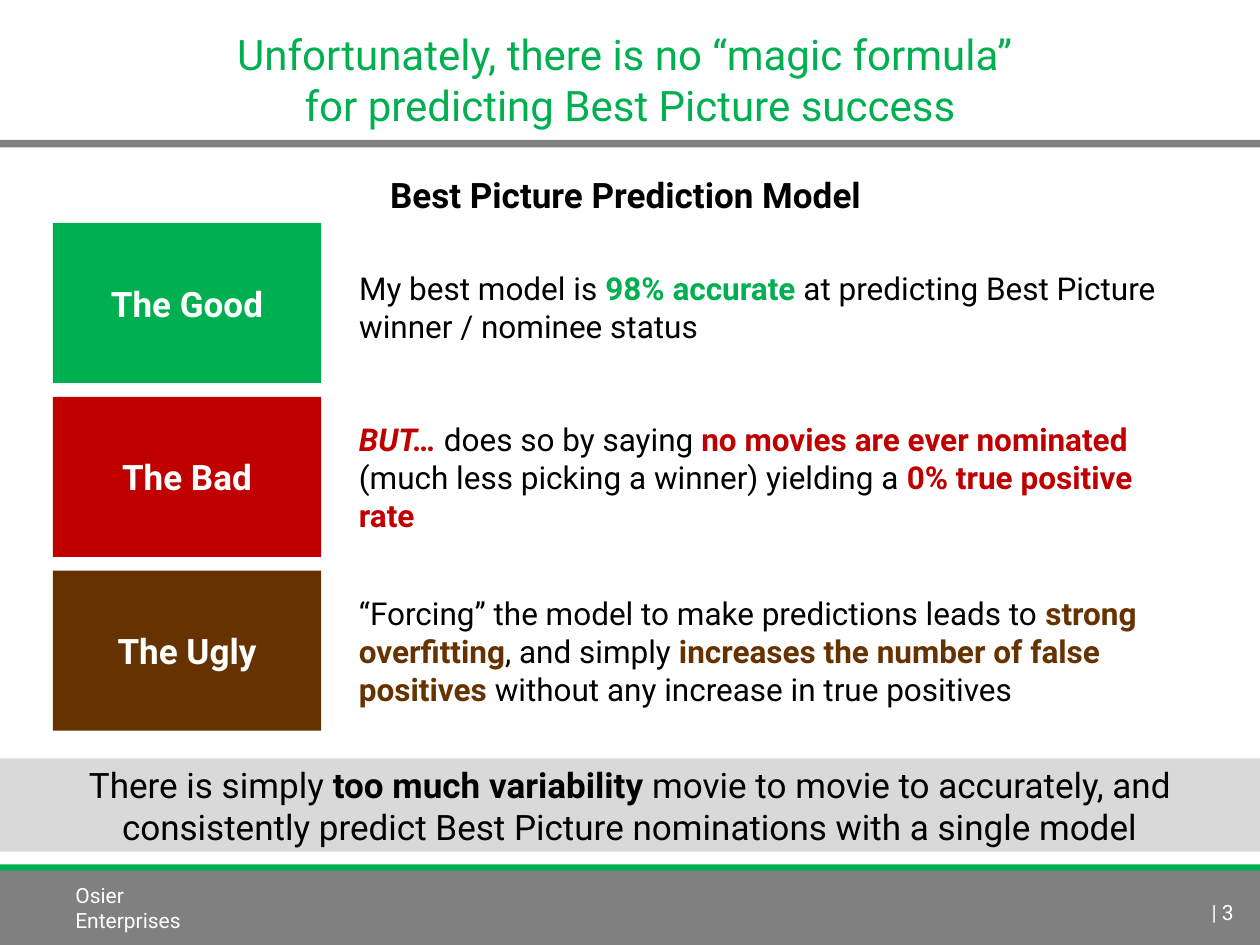
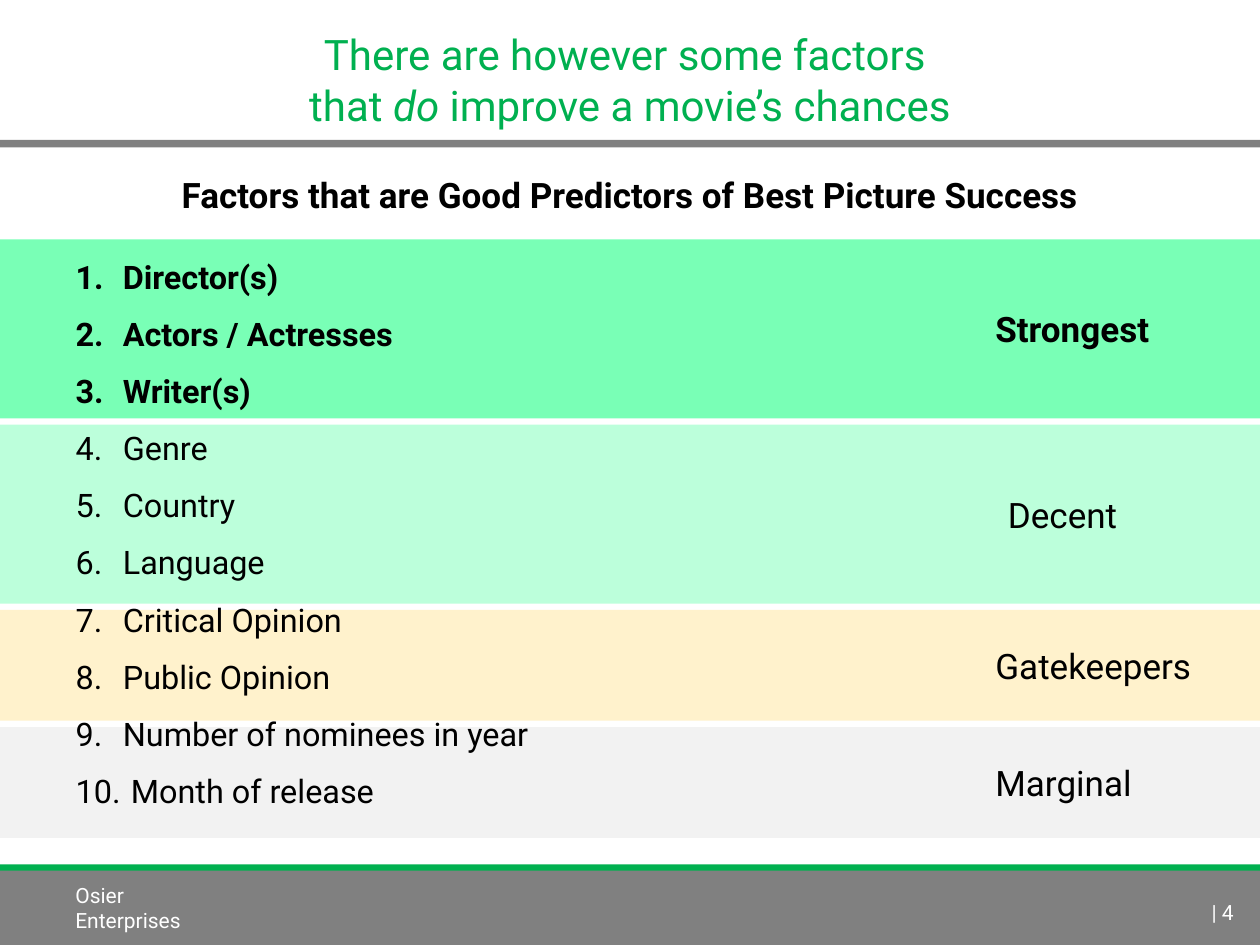
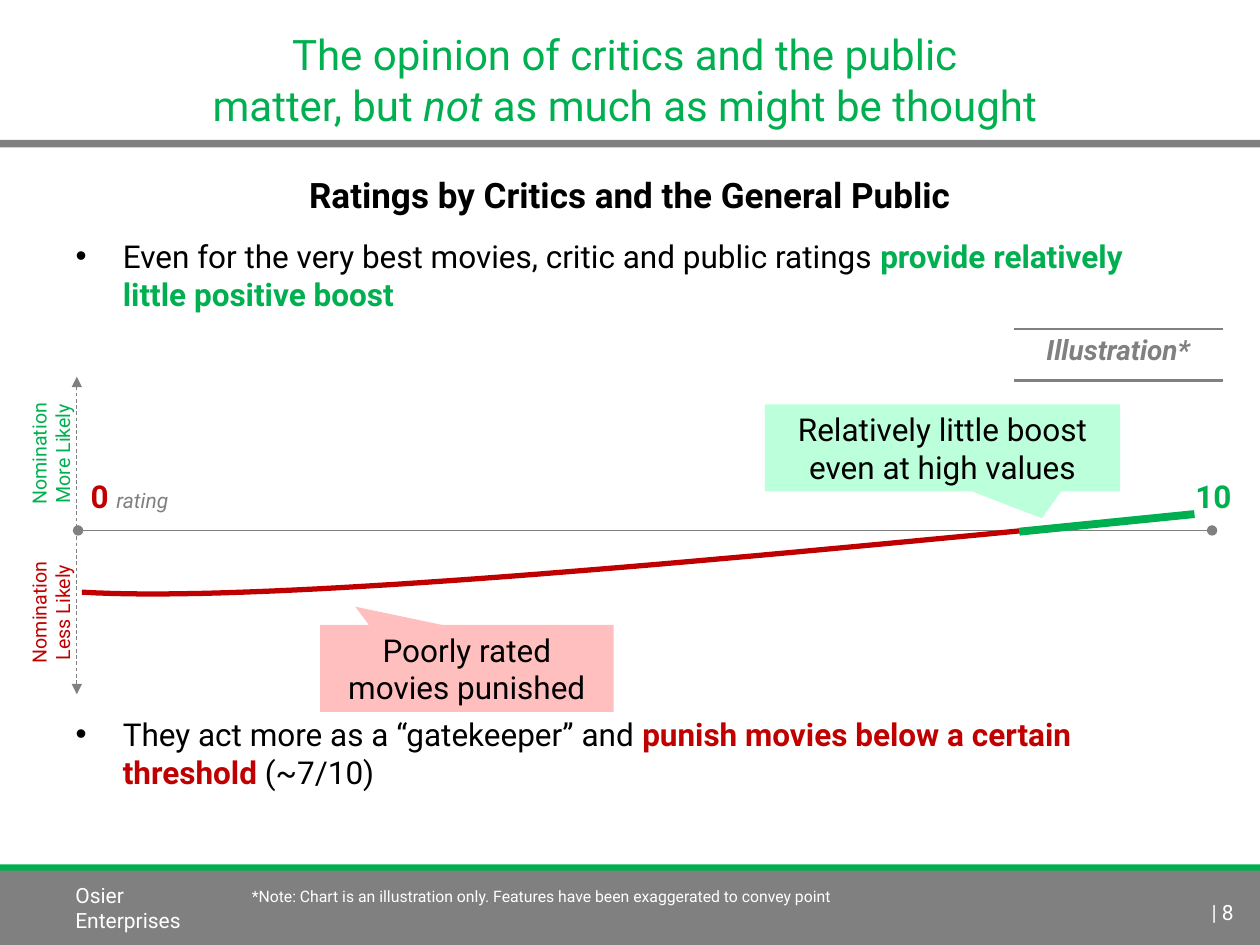
from collections import namedtuple
from dataclasses import dataclass

from lxml import etree
from pptx import Presentation
from pptx import util as u
from pptx.dml.color import RGBColor
from pptx.enum import dml, shapes, text
from pptx.oxml.ns import qn


@dataclass(frozen=True)
class Theme:
    font: str = "Roboto"
    green: str = "00B050"
    red: str = "C00000"
    brown: str = "663300"
    gray: str = "808080"
    black: str = "000000"
    white: str = "FFFFFF"
    silver: str = "D9D9D9"
    pale: str = "F2F2F2"
    cream: str = "FFF2CC"
    mint: str = "BCFFDB"
    lime: str = "79FFB6"
    pink: str = "FFBFBF"
    title: float = 24
    head: float = 20
    list: float = 18.5
    body: float = 18
    tag: float = 16
    small: float = 12
    axis: float = 11.2
    note: float = 9


T = Theme()
Align = text.PP_ALIGN
Anchor = text.MSO_ANCHOR
Kind = shapes.MSO_SHAPE


class Box(namedtuple("Box", "x y w h")):
    def sub(self, x, y, w, h):
        return Box(self.x + x, self.y + y, w, h)

    def spot(self, x, y):
        return self.x + x, self.y + y

    def inch(self):
        return [u.Inches(side) for side in self]


def tint(words, ink, bold=True, slant=False, size=None):
    style = {"ink": ink, "bold": bold, "slant": slant}
    if size:
        style["size"] = size
    return words, style


def write(para, parts, size, ink=T.black, bold=False, align=Align.LEFT):
    para.alignment = align
    for part in [parts] if isinstance(parts, str) else parts:
        if part == "\v":
            para.add_line_break()
            continue
        words, style = (part, {}) if isinstance(part, str) else part
        run = para.add_run()
        run.text = words
        font = run.font
        font.name, font.size = T.font, u.Pt(style.get("size", size))
        font.bold = style.get("bold", bold)
        font.italic = style.get("slant", False)
        font.color.rgb = RGBColor.from_string(style.get("ink", ink))


def setup(frame, anchor):
    frame.word_wrap = True
    frame.auto_size = text.MSO_AUTO_SIZE.NONE
    frame.vertical_anchor = anchor


def place(holder, box, anchor=Anchor.TOP):
    holder.left, holder.top, holder.width, holder.height = box.inch()
    setup(holder.text_frame, anchor)
    tree = holder.element.getparent()
    tree.append(holder.element)
    return holder.text_frame


def label(slide, box, parts, size, ink=T.black, bold=False,
          align=Align.LEFT, anchor=Anchor.TOP, turn=0):
    shape = slide.shapes.add_textbox(*box.inch())
    shape.rotation = turn
    setup(shape.text_frame, anchor)
    write(shape.text_frame.paragraphs[0], parts, size, ink, bold, align)
    return shape


def block(slide, box, fill, parts="", size=T.head, ink=T.black, bold=False,
          align=Align.CENTER, kind=Kind.RECTANGLE):
    shape = slide.shapes.add_shape(kind, *box.inch())
    shape.shadow.inherit = False
    shape.fill.solid()
    shape.fill.fore_color.rgb = RGBColor.from_string(fill)
    shape.line.fill.background()
    if parts:
        setup(shape.text_frame, Anchor.MIDDLE)
        write(shape.text_frame.paragraphs[0], parts, size, ink, bold, align)
    return shape


def stroke(shape, ink, width):
    shape.line.color.rgb = RGBColor.from_string(ink)
    shape.line.width = u.Pt(width)


def line(slide, start, end, ink, width, tip=None, dash=None):
    rule = slide.shapes.add_connector(
        shapes.MSO_CONNECTOR.STRAIGHT, *[u.Inches(n) for n in start + end])
    stroke(rule, ink, width)
    if dash:
        rule.line.dash_style = dash
    props = rule.element.spPr
    if tip:
        for end_tag in ("a:headEnd", "a:tailEnd"):
            etree.SubElement(props.find(qn("a:ln")), qn(end_tag), type=tip)
    etree.SubElement(props, qn("a:effectLst"))


def plain(para):
    props = para._p.get_or_add_pPr()
    props.set("marL", "0")
    props.set("indent", "0")
    etree.SubElement(props, qn("a:buNone"))


def count(para):
    etree.SubElement(para._p.get_or_add_pPr(), qn("a:buAutoNum"),
                     type="arabicPeriod")


def footer(slide, box, page):
    block(slide, box.sub(0, 0, box.w, 0.59), T.green)
    block(slide, box.sub(0, 0.05, box.w, 0.59), T.gray)
    label(slide, box.sub(0.5, 0.22, 1.4, 0.25), "Osier Enterprises", T.small,
          T.white, anchor=Anchor.MIDDLE)
    label(slide, box.sub(9.33, 0.13, 0.56, 0.4), f"| {page}", T.small,
          T.white, align=Align.RIGHT, anchor=Anchor.BOTTOM)


def header(slide, box, title, head):
    block(slide, box.sub(0, 1.11, box.w, 0.06), T.gray)
    frame = place(slide.shapes.title, box.sub(0.05, 0.25, 9.9, 0.83),
                  Anchor.BOTTOM)
    write(frame.paragraphs[0], title, T.title, T.green, align=Align.CENTER)
    frame = place(slide.placeholders[1], box.sub(0.5, 1.33, 9, 0.43),
                  Anchor.BOTTOM)
    plain(frame.paragraphs[0])
    write(frame.paragraphs[0], head, T.head, bold=True, align=Align.CENTER)


def start(deck, title, head, page):
    slide = deck.slides.add_slide(deck.slide_layouts[3])
    header(slide, Box(0, 0, 10, 1.76), title, head)
    footer(slide, Box(0, 6.86, 10, 0.64), page)
    return slide


def verdicts(slide, box, rows):
    step, high = 1.38, 1.27
    for i, (name, fill, parts) in enumerate(rows):
        row = box.sub(0, i * step, box.w, high)
        block(slide, row.sub(0, 0, 2.13, high), fill, name, T.head,
              T.white, True)
        side = row.sub(2.33, 0, 6.75, high)
        if i:
            shape = label(slide, side, parts, T.body, anchor=Anchor.MIDDLE)
            shape.text_frame.paragraphs[0].space_before = u.Pt(3.6)
        else:
            frame = place(slide.placeholders[2],
                          side.sub(0, 0.06, side.w, high - 0.06),
                          Anchor.MIDDLE)
            plain(frame.paragraphs[0])
            write(frame.paragraphs[0], parts, T.body)


def tiers(slide, box, bands, gap=0.05):
    top = 0
    for name, fill, high, left, bold in bands:
        band = block(slide, box.sub(0, top, box.w, high), fill, name,
                     bold=bold, align=Align.LEFT)
        band.text_frame.margin_left = u.Inches(left)
        top += high + gap


def ranks(slide, box, names, strong):
    frame = place(slide.placeholders[2], box)
    for i, name in enumerate(names):
        para = frame.add_paragraph() if i else frame.paragraphs[0]
        count(para)
        write(para, name, T.list, bold=i < strong)
        para.line_spacing = 1.3


def points(slide, box, items, gap):
    frame = place(slide.placeholders[2], box)
    for i, parts in enumerate(items):
        para = frame.add_paragraph() if i else frame.paragraphs[0]
        write(para, parts, T.body)
        if i:
            para.space_before = u.Pt(gap)


def curve(slide, knots, ink, width, steps=40):
    def mix(t):
        s = 1 - t
        scale = (s ** 3, 3 * s * s * t, 3 * s * t * t, t ** 3)
        return tuple(u.Inches(sum(k * knot[axis]
                                  for k, knot in zip(scale, knots)))
                     for axis in (0, 1))

    first, *rest = [mix(i / steps) for i in range(steps + 1)]
    pen = slide.shapes.build_freeform(*first)
    pen.add_line_segments(rest, close=False)
    shape = pen.convert_to_shape()
    shape.shadow.inherit = False
    shape.fill.background()
    stroke(shape, ink, width)


def stamp(slide, box, words):
    grid = slide.shapes.add_table(1, 1, *box.inch()).table
    grid.first_row = grid.horz_banding = False
    cell = grid.cell(0, 0)
    cell.fill.solid()
    cell.fill.fore_color.rgb = RGBColor.from_string(T.white)
    write(cell.text_frame.paragraphs[0], [tint(words, T.gray, slant=True)],
          T.tag, align=Align.CENTER)
    props = cell._tc.get_or_add_tcPr()
    edges = [("L", T.white, 1), ("R", T.white, 1),
             ("T", T.gray, 1.5), ("B", T.gray, 1.5)]
    for i, (side, ink, width) in enumerate(edges):
        edge = etree.Element(qn(f"a:ln{side}"), w=str(u.Pt(width)))
        fill = etree.SubElement(edge, qn("a:solidFill"))
        etree.SubElement(fill, qn("a:srgbClr"), val=ink)
        props.insert(i, edge)


def callout(slide, box, fill, words, tip):
    shape = block(slide, box, fill, words, T.body,
                  kind=Kind.RECTANGULAR_CALLOUT)
    for i, value in enumerate(tip):
        shape.adjustments[i] = value


def plot(slide, box):
    line(slide, box.spot(0, 0), box.spot(0, box.h), T.gray, 0.5,
         "triangle", dml.MSO_LINE.DASH)
    line(slide, box.spot(0.01, 1.22), box.spot(box.w, 1.22), T.gray, 0.5,
         "oval")
    label(slide, box.sub(0.01, 0.75, 3.21, 0.42),
          ["0 ", tint("rating", T.gray, False, True, T.small)],
          T.body, T.red, True)
    label(slide, box.sub(8.75, 0.75, 0.54, 0.42), "10", T.body, T.green,
          True, Align.CENTER)
    knots = [(8.85, 1.09), (5.19, 1.45), (1.53, 1.8), (0.04, 1.71)]
    curve(slide, [box.spot(*knot) for knot in knots], T.red, 3)
    line(slide, box.spot(8.87, 1.09), box.spot(7.48, 1.23), T.green, 4.5)
    stamp(slide, box.sub(7.43, -0.38, 1.67, 0.41), "Illustration*")
    callout(slide, box.sub(5.46, 0.22, 2.82, 0.69), T.mint,
            "Relatively little boost even at high values", (0.28, 0.81))
    callout(slide, box.sub(1.93, 1.97, 2.33, 0.69), T.pink,
            "Poorly rated movies punished", (-0.38, -0.71))
    for words, top, ink in [("More", 0.4, T.green), ("Less", 1.66, T.red)]:
        label(slide, box.sub(-0.9, top, 1.33, 0.42),
              f"Nomination {words} Likely", T.axis, ink,
              align=Align.CENTER, turn=270)


def model(deck):
    slide = start(deck, ["Unfortunately, there is no “magic formula” ", "\v",
                         "for predicting Best Picture success"],
                  "Best Picture Prediction Model ", 3)
    verdicts(slide, Box(0.42, 1.77, 9.08, 4.03), [
        ("The Good", T.green, [
            "My best model is ", tint("98% accurate ", T.green),
            "at predicting Best Picture winner / nominee status"]),
        ("The Bad", T.red, [
            tint("BUT… ", T.red, slant=True), "does so by saying ",
            tint("no movies are ever nominated", T.red),
            " (much less picking a winner) yielding a ",
            tint("0% true positive rate", T.red)]),
        ("The Ugly", T.brown, [
            "“Forcing” the model to make predictions leads to ",
            tint("strong overfitting", T.brown), ", and simply ",
            tint("increases the number of false positives", T.brown),
            " without any increase in true positives"])])
    block(slide, Box(0, 6.02, 10, 0.74), T.silver, [
        "There is simply ", tint("too much variability", T.black),
        " movie to movie to accurately, and consistently predict "
        "Best Picture nominations with a single model"])


def factors(deck):
    slide = start(deck, ["There are however some factors ", "\v", "that ",
                         tint("do", T.green, False, True),
                         " improve a movie’s chances"],
                  "Factors that are Good Predictors of Best Picture Success",
                  4)
    tiers(slide, Box(0, 1.9, 10, 4.75), [
        ("Strongest", T.lime, 1.42, 7.9, True),
        ("Decent", T.mint, 1.42, 8, False),
        ("Gatekeepers", T.cream, 0.88, 7.9, False),
        ("Marginal", T.pale, 0.88, 7.9, False)])
    ranks(slide, Box(0.5, 1.9, 9, 4.87), [
        "Director(s)", "Actors / Actresses", "Writer(s)", "Genre", "Country",
        "Language", "Critical Opinion", "Public Opinion",
        "Number of nominees in year", " Month of release"], 3)


def ratings(deck):
    slide = start(deck, ["The opinion of critics and the public ", "\v",
                         "matter, but ", tint("not", T.green, False, True),
                         " as much as might be thought "],
                  "Ratings by Critics and the General Public", 8)
    points(slide, Box(0.5, 1.83, 9, 4.87), [
        ["Even for the very best movies, critic and public ratings ",
         tint("provide relatively little positive boost", T.green)],
        ["They act more as a “gatekeeper” and ",
         tint("punish movies below a certain threshold", T.red),
         " (~7/10)"]], 230)
    plot(slide, Box(0.61, 2.99, 9.01, 2.52))
    label(slide, Box(1.9, 6.99, 7.44, 0.4),
          "*Note: Chart is an illustration only. "
          "Features have been exaggerated to convey point", T.note, T.white)


def main():
    deck = Presentation()
    deck.slide_width, deck.slide_height = u.Inches(10), u.Inches(7.5)
    for make in (model, factors, ratings):
        make(deck)
    deck.save("out.pptx")


if __name__ == "__main__":
    main()
